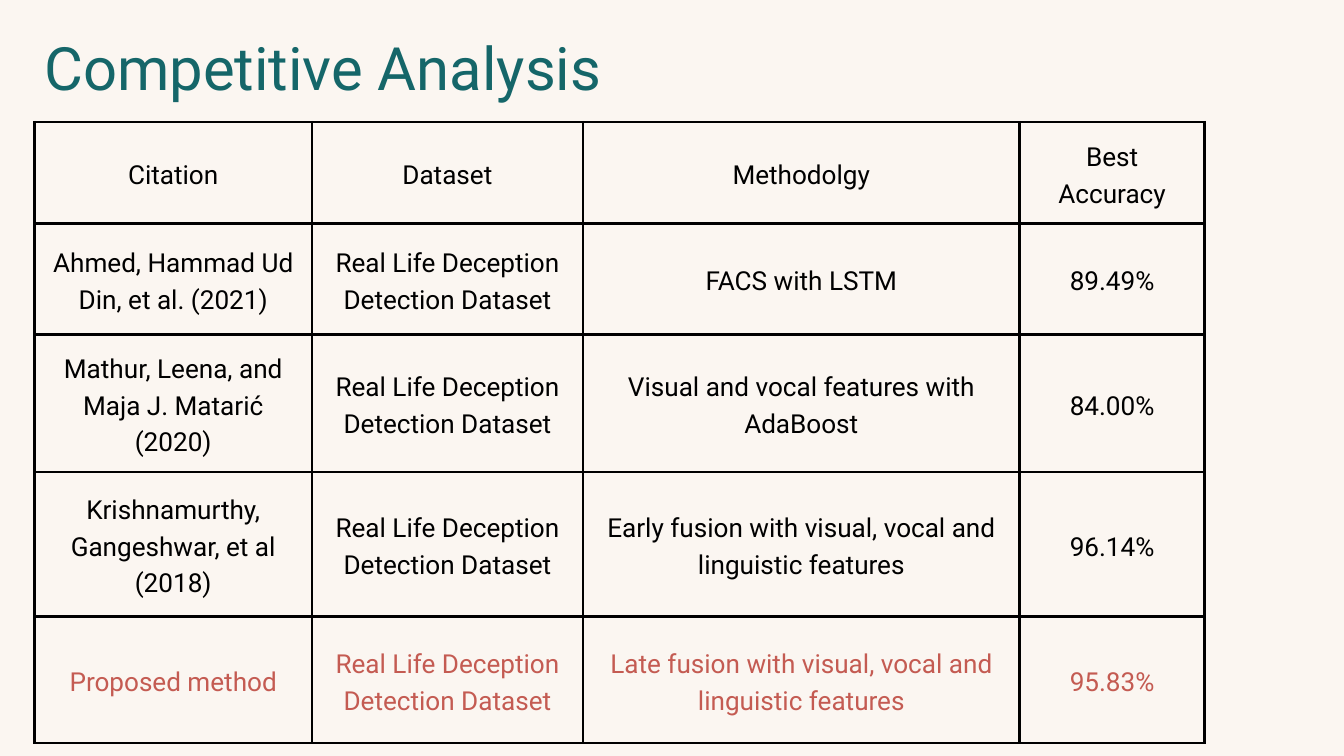
from lxml import etree
from pptx import Presentation
from pptx.dml.color import RGBColor
from pptx.enum.text import MSO_ANCHOR as Anchor, PP_ALIGN as Align
from pptx.oxml.ns import qn
from pptx.util import Cm, Pt

COLORS = {"page": "FBF6F1", "title": "156669", "body": "000000",
          "proposed": "C45B52", "border": "000000"}
FONT = "Roboto"
TITLE = "Competitive Analysis"
DATASET = "Real Life Deception Detection Dataset"
STUDIES = [
    ("Citation", "Dataset", "Methodolgy", "Best Accuracy"),
    ("Ahmed, Hammad Ud Din, et al. (2021)", DATASET, "FACS with LSTM", "89.49%"),
    ("Mathur, Leena, and Maja J. Matarić (2020)", DATASET,
     "Visual and vocal features with AdaBoost", "84.00%"),
    ("Krishnamurthy, Gangeshwar, et al\n(2018)", DATASET,
     "Early fusion with visual, vocal and linguistic features", "96.14%"),
    ("Proposed method", DATASET,
     "Late fusion with visual, vocal and linguistic features", "95.83%"),
]
COLUMN_WIDTHS = [10.49, 10.24, 16.51, 6.99]
ROW_HEIGHTS = [3.81, 4.19, 5.2, 5.46, 4.78]
CELL_MARGIN = Cm(0.53)
BORDER_WIDTH = Pt(3)


def style_text(frame, size, color, spacing, align):
    for paragraph in frame.paragraphs:
        paragraph.alignment = align
        paragraph.line_spacing = Pt(spacing)
        for run in paragraph.runs:
            run.font.name = FONT
            run.font.size = Pt(size)
            run.font.color.rgb = RGBColor.from_string(COLORS[color])


def set_margins(holder, margin):
    holder.margin_left = holder.margin_right = margin
    holder.margin_top = holder.margin_bottom = margin


def add_borders(cell):
    properties = cell._tc.get_or_add_tcPr()
    for position, side in enumerate(("a:lnL", "a:lnR", "a:lnT", "a:lnB")):
        line = etree.Element(qn(side), w=str(int(BORDER_WIDTH)))
        fill = etree.SubElement(line, qn("a:solidFill"))
        etree.SubElement(fill, qn("a:srgbClr"), val=COLORS["border"])
        properties.insert(position, line)


def add_title(slide):
    title = slide.shapes.add_textbox(Cm(1.68), Cm(0.71), Cm(40.69), Cm(3.07))
    frame = title.text_frame
    frame.word_wrap = True
    set_margins(frame, 0)
    frame.text = TITLE
    style_text(frame, 64, "title", 89.6, Align.LEFT)


def add_comparison(slide):
    comparison = slide.shapes.add_table(
        len(STUDIES), len(COLUMN_WIDTHS), Cm(1.3), Cm(4.62),
        Cm(sum(COLUMN_WIDTHS)), Cm(sum(ROW_HEIGHTS))).table
    comparison.first_row = comparison.horz_banding = False
    for column, width in zip(comparison.columns, COLUMN_WIDTHS):
        column.width = Cm(width)
    for row, height, study in zip(comparison.rows, ROW_HEIGHTS, STUDIES):
        row.height = Cm(height)
        color = "proposed" if study is STUDIES[-1] else "body"
        for cell, entry in zip(row.cells, study):
            cell.text_frame.text = entry
            cell.vertical_anchor = Anchor.MIDDLE
            set_margins(cell, CELL_MARGIN)
            cell.fill.background()
            add_borders(cell)
            style_text(cell.text_frame, 28, color, 39.2, Align.CENTER)


def main():
    deck = Presentation()
    deck.slide_width, deck.slide_height = Cm(50.8), Cm(28.575)
    slide = deck.slides.add_slide(deck.slide_layouts[6])
    background = slide.background.fill
    background.solid()
    background.fore_color.rgb = RGBColor.from_string(COLORS["page"])
    add_title(slide)
    add_comparison(slide)
    deck.save("out.pptx")


if __name__ == "__main__":
    main()
